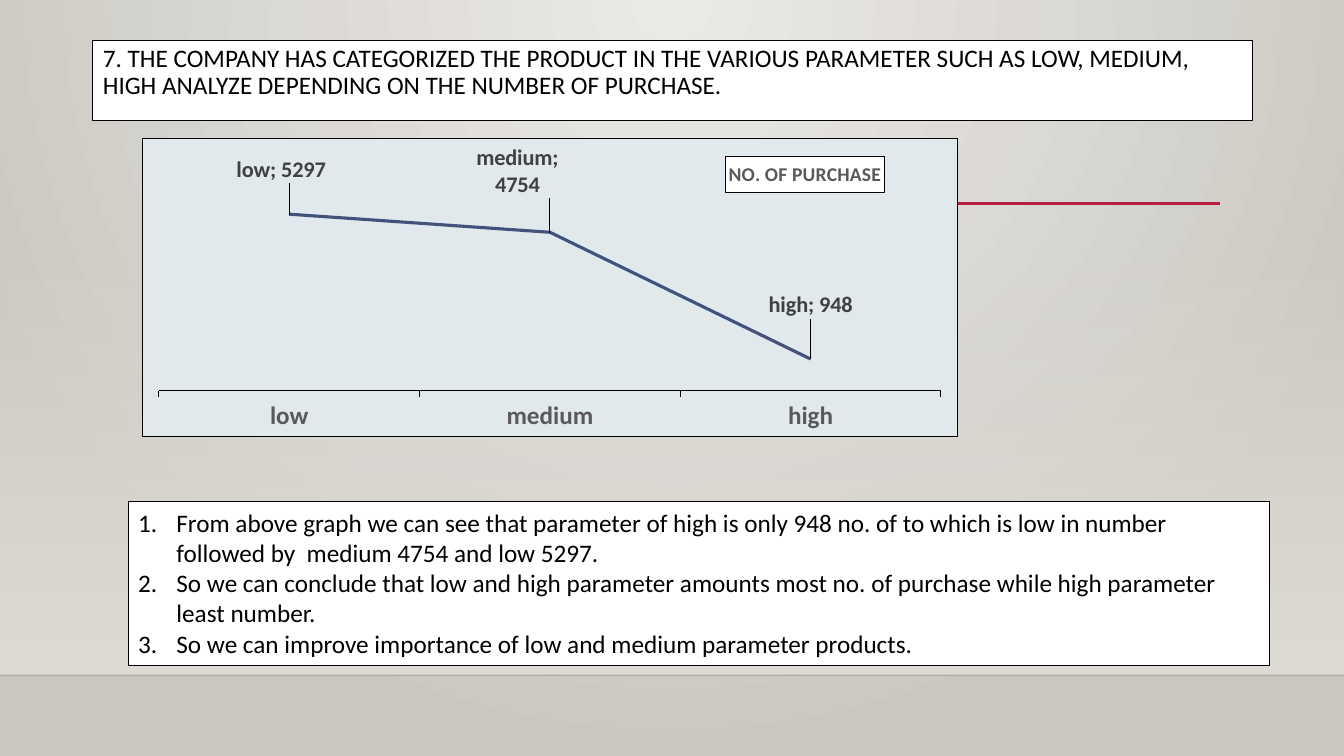
from dataclasses import dataclass

from lxml import etree
from pptx import Presentation
from pptx.chart.data import CategoryChartData
from pptx.dml.color import RGBColor
from pptx.enum.chart import XL_CHART_TYPE, XL_LABEL_POSITION, XL_TICK_MARK
from pptx.enum.shapes import MSO_CONNECTOR, MSO_SHAPE
from pptx.enum.text import MSO_ANCHOR, MSO_AUTO_SIZE, PP_ALIGN
from pptx.oxml import parse_xml
from pptx.oxml.ns import qn
from pptx.util import Inches, Pt

LINE_STACKED = XL_CHART_TYPE.LINE_STACKED
ABOVE = XL_LABEL_POSITION.ABOVE
TICK_OUTSIDE = XL_TICK_MARK.OUTSIDE
STRAIGHT = MSO_CONNECTOR.STRAIGHT
RECTANGLE = MSO_SHAPE.RECTANGLE
TOP = MSO_ANCHOR.TOP
NO_AUTOFIT = MSO_AUTO_SIZE.NONE
LEFT = PP_ALIGN.LEFT

FONT = "Calibri"
COLORS = {
    "black": "000000", "white": "FFFFFF", "floor": "DFDBD5",
    "glow": "ECEAE7", "edge": "CAC7C1", "floor_line": "000001",
    "accent": "B71E42", "panel": "E1E9EC", "series": "42527C",
    "axis_text": "595959", "label_text": "404040",
}
NS = ('xmlns:a="http://schemas.openxmlformats.org/drawingml/2006/main" '
      'xmlns:c="http://schemas.openxmlformats.org/drawingml/2006/chart"')

QUESTION = ("7. THE COMPANY HAS CATEGORIZED THE PRODUCT IN THE VARIOUS PARAMETER "
            "SUCH AS LOW, MEDIUM, HIGH ANALYZE DEPENDING ON THE NUMBER OF PURCHASE.")
FINDINGS = [
    "From above graph we can see that parameter of high is only 948 no. of to which "
    "is low in number followed by  medium 4754 and low 5297.",
    "So we can conclude that low and high parameter amounts most no. of purchase "
    "while high parameter least number.",
    "So we can improve importance of low and medium parameter products.",
]


@dataclass
class Level:
    """A product level, with its label's shift as a share of the chart size."""
    name: str
    purchases: int
    shift_x: float
    shift_y: float


@dataclass
class Rule:
    left: float
    right: float
    y: float
    color: str
    width: float
    opacity: int = 100


LEVELS = [
    Level("low", 5297, -0.01, -0.09),
    Level("medium", 4754, -0.04, -0.1),
    Level("high", 948, 0, -0.12),
]
RULES = [
    Rule(0, 13.33, 6.7, "floor_line", 1, 20),
    Rule(1.59, 12.1, 2.02, "accent", 2.5),
]


def rgb(name: str) -> RGBColor:
    return RGBColor.from_string(COLORS[name])


def set_font(font, size: float, color: str, bold: bool = False) -> None:
    font.name, font.size, font.bold = FONT, Pt(size), bold
    font.color.rgb = rgb(color)


def fill_and_outline(target, fill: str) -> None:
    target.fill.solid()
    target.fill.fore_color.rgb = rgb(fill)
    target.line.color.rgb = rgb("black")
    target.line.width = Pt(0.75)


def set_alpha(color_element, percent: int) -> None:
    etree.SubElement(color_element, qn("a:alpha")).set("val", str(percent * 1000))


def set_gradient(fill, first: str, last: str) -> None:
    fill.gradient()
    for stop, color in zip(fill.gradient_stops, (first, last)):
        stop.color.rgb = rgb(color)


def set_layout(element, index: int, **values) -> None:
    """Give a chart element a manual layout, as its child at index."""
    for old in element.findall(qn("c:layout")):
        element.remove(old)
    parts = "".join(f'<c:{key} val="{value}"/>' for key, value in values.items())
    element.insert(index, parse_xml(
        f"<c:layout {NS}><c:manualLayout>{parts}</c:manualLayout></c:layout>"))


def paint_backdrop(slide) -> None:
    set_gradient(slide.background.fill, "glow", "edge")
    linear = next(slide.background._cSld.iter(qn("a:lin")))
    linear.getparent().replace(linear, parse_xml(
        f'<a:path {NS} path="circle"><a:fillToRect l="43000" t="0" r="43000" '
        'b="100000"/></a:path>'))

    floor = slide.shapes.add_shape(
        RECTANGLE, 0, Inches(2.21), Inches(13.33), Inches(4.49))
    floor.shadow.inherit = False
    floor.line.fill.background()
    set_gradient(floor.fill, "floor", "floor")
    floor.fill.gradient_angle = 270
    set_alpha(next(floor._element.spPr.iter(qn("a:srgbClr"))), 0)

    for rule in RULES:
        line = slide.shapes.add_connector(
            STRAIGHT, Inches(rule.left), Inches(rule.y), Inches(rule.right), Inches(rule.y))
        line.line.color.rgb = rgb(rule.color)
        line.line.width = Pt(rule.width)
        properties = line._element.spPr
        if rule.opacity < 100:
            set_alpha(next(properties.iter(qn("a:srgbClr"))), rule.opacity)
        etree.SubElement(properties, qn("a:effectLst"))


def fill_box(slide, box, place: tuple, texts: list[str], spacing: float,
             numbered: bool = False) -> None:
    """Move a placeholder to the front and fill it with 18 pt paragraphs."""
    slide.shapes._spTree.append(box._element)
    box.left, box.top, box.width, box.height = map(Inches, place)
    fill_and_outline(box, "white")
    frame = box.text_frame
    frame.word_wrap, frame.auto_size = True, NO_AUTOFIT
    frame.vertical_anchor = TOP
    frame.text = "\n".join(texts)
    for paragraph in frame.paragraphs:
        if numbered:
            properties = paragraph._p.get_or_add_pPr()
            properties.set("marL", str(Inches(0.38)))
            properties.set("indent", str(Inches(-0.38)))
            etree.SubElement(properties, qn("a:buAutoNum")).set("type", "arabicPeriod")
        paragraph.alignment = LEFT
        paragraph.line_spacing = spacing
        paragraph.space_before = Pt(0)
        set_font(paragraph.font, 18, "black")


def label_points(series) -> None:
    for index, level in enumerate(LEVELS):
        label = series.points[index].data_label
        label.position = ABOVE
        set_font(label.font, 16, "label_text", True)
        element = series._element.findall(f"{qn('c:dLbls')}/{qn('c:dLbl')}")[index]
        set_layout(element, 1, x=level.shift_x, y=level.shift_y)
        element.insert(2, parse_xml(
            f'<c:spPr {NS}><a:solidFill><a:srgbClr val="{COLORS["white"]}"/>'
            '</a:solidFill></c:spPr>'))
        element.find(qn("c:showCatName")).set("val", "1")
        etree.SubElement(element, qn("c:separator")).text = "; "


def add_purchase_chart(slide) -> None:
    data = CategoryChartData()
    data.categories = [level.name for level in LEVELS]
    data.add_series("Series 1", [level.purchases for level in LEVELS])
    chart = slide.shapes.add_chart(
        LINE_STACKED, Inches(1.41), Inches(1.37), Inches(8.09), Inches(2.97), data).chart
    set_font(chart.font, 10, "black")
    chart.has_legend = False
    chart._chartSpace.find(qn("c:txPr")).addprevious(parse_xml(
        f'<c:spPr {NS}><a:solidFill><a:srgbClr val="{COLORS["panel"]}"/></a:solidFill>'
        f'<a:ln w="{Pt(0.75)}"><a:solidFill><a:srgbClr val="{COLORS["black"]}"/>'
        '</a:solidFill></a:ln></c:spPr>'))

    title = chart.chart_title
    title.text_frame.text = "NO. OF PURCHASE"
    set_font(title.text_frame.paragraphs[0].font, 14, "axis_text", True)
    fill_and_outline(title.format, "white")
    set_layout(title._element, 1, xMode="edge", yMode="edge", x=0.715, y=0.06)
    set_layout(chart._chartSpace.chart.plotArea, 0, layoutTarget="inner", xMode="edge",
               yMode="edge", x=0.02, y=0.175, w=0.96, h=0.67)

    levels_axis, count_axis = chart.category_axis, chart.value_axis
    set_font(levels_axis.tick_labels.font, 18, "axis_text", True)
    levels_axis.major_tick_mark = TICK_OUTSIDE
    levels_axis.format.line.color.rgb = rgb("black")
    levels_axis.format.line.width = Pt(0.75)
    count_axis.minimum_scale, count_axis.maximum_scale = 0, 6000
    count_axis.has_major_gridlines = False
    count_axis.visible = False

    plot = chart.plots[0]
    plot.vary_by_categories = False
    series = plot.series[0]
    series.smooth = False
    series.format.line.color.rgb = rgb("series")
    series.format.line.width = Pt(2.25)
    label_points(series)


def main() -> None:
    deck = Presentation()
    deck.slide_width, deck.slide_height = Inches(13.33), Inches(7.5)
    slide = deck.slides.add_slide(deck.slide_layouts[1])
    paint_backdrop(slide)
    fill_box(slide, slide.shapes.title, (0.92, 0.4, 11.5, 0.8), [QUESTION], 0.9)
    fill_box(slide, slide.placeholders[1], (1.27, 4.98, 11.32, 1.62), FINDINGS, 1, True)
    add_purchase_chart(slide)
    deck.save("out.pptx")


if __name__ == "__main__":
    main()
